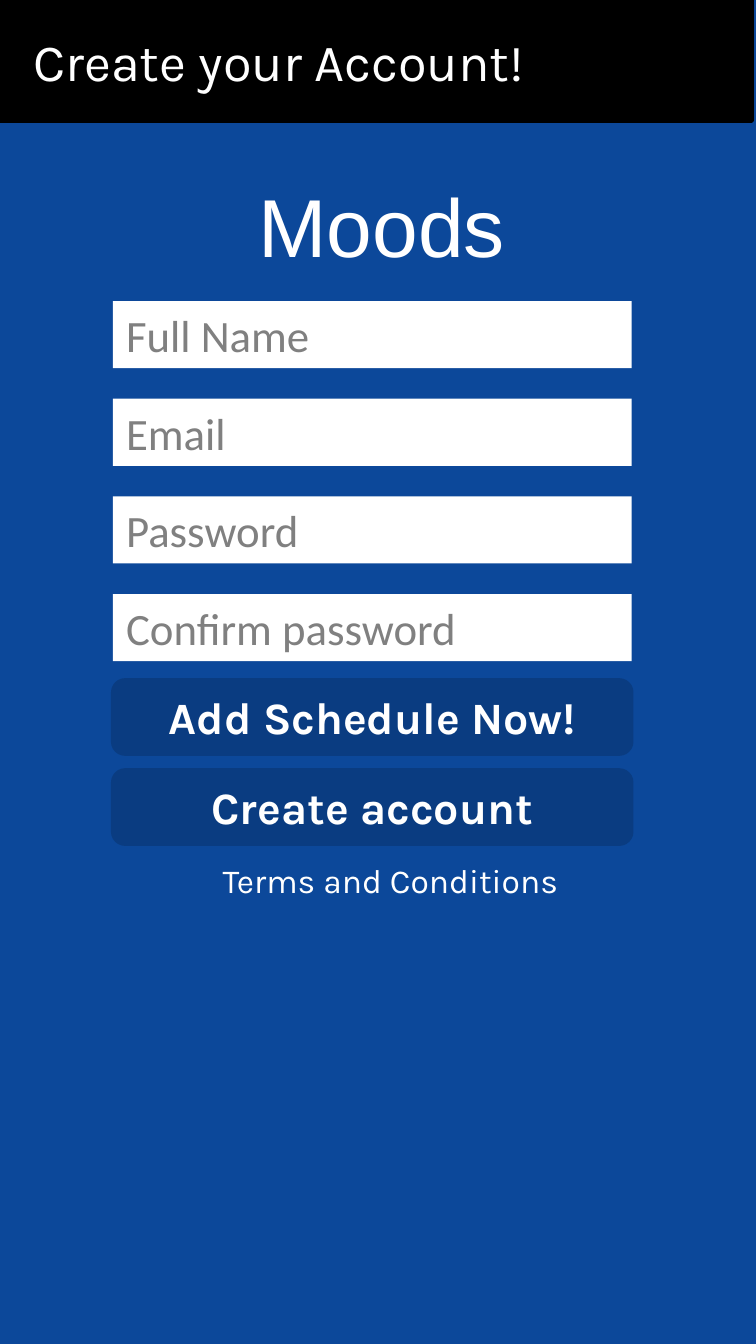
from pptx import Presentation
from pptx.dml.color import RGBColor
from pptx.enum.shapes import MSO_SHAPE as SHAPE
from pptx.enum.text import MSO_ANCHOR as ANCHOR, MSO_AUTO_SIZE as AUTO, PP_ALIGN as ALIGN
from pptx.util import Inches, Pt


def paint(s, fill, line=None):
    s.shadow.inherit = False
    s.fill.solid()
    s.fill.fore_color.rgb = RGBColor.from_string(fill)
    if line:
        s.line.color.rgb = RGBColor.from_string(line)
        s.line.width = Pt(2)
    else:
        s.line.fill.background()


def write(s, text, size, font="Karla", color="FFFFFF", bold=False,
          align=ALIGN.CENTER, anchor=ANCHOR.MIDDLE, inset=0.1):
    tf = s.text_frame
    tf.word_wrap = True
    tf.auto_size = AUTO.NONE
    tf.vertical_anchor = anchor
    tf.margin_left = Inches(inset)
    p = tf.paragraphs[0]
    p.alignment = align
    r = p.add_run()
    r.text = text
    r.font.size, r.font.name, r.font.bold = Pt(size), font, bold
    r.font.color.rgb = RGBColor.from_string(color)


prs = Presentation()
prs.slide_height = Inches(10)
prs.slide_width = prs.slide_height * 9 // 16  # portrait phone screen
slide = prs.slides.add_slide(prs.slide_layouts[5])
slide.background.fill.solid()
slide.background.fill.fore_color.rgb = RGBColor.from_string("0C489A")
shapes = slide.shapes

# Header bar
header = shapes.title
header.left, header.top = Inches(-0.03), 0
header.width, header.height = prs.slide_width, Inches(0.9)
paint(header, "000000", line="000000")
write(header, "Create your Account!", 28, align=ALIGN.LEFT, inset=0.28)

# App name
name = shapes.add_textbox(Inches(0.45), Inches(0.6), Inches(4.78), Inches(2.14))
write(name, "Moods", 44, font="Arial")

# Form column: input fields, then buttons
left, width = Inches(0.84), Inches(3.86)

for i, label in enumerate(["Full Name", "Email", "Password", "Confirm password"]):
    top = Inches(2.24 + 2.18 * i / 3)
    field = shapes.add_shape(SHAPE.RECTANGLE, left, top, width, Inches(0.5))
    paint(field, "FFFFFF")
    write(field, label, 24, font="Calibri", color="808080", align=ALIGN.LEFT, anchor=ANCHOR.TOP)

for i, label in enumerate(["Add Schedule Now!", "Create account"]):
    top = Inches(5.06 + 0.67 * i)
    button = shapes.add_shape(SHAPE.ROUNDED_RECTANGLE, left, top, width, Inches(0.55))
    paint(button, "0A3C81", line="0A3C81")
    write(button, label, 24, bold=True)

terms = shapes.add_textbox(Inches(1.5), Inches(6.35), Inches(2.81), Inches(0.4))
write(terms, "Terms and Conditions", 18, anchor=ANCHOR.TOP)

prs.save("out.pptx")
